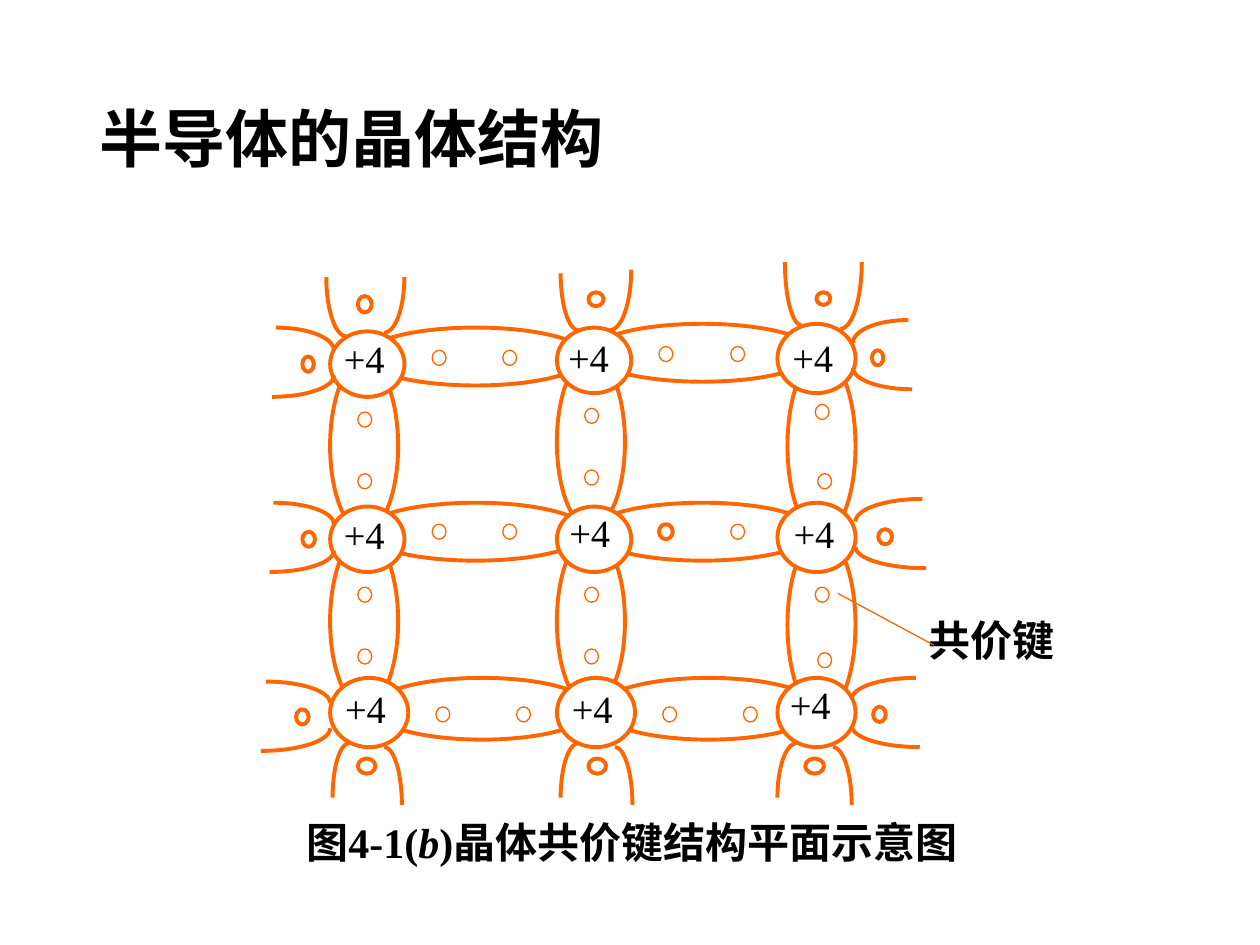
from dataclasses import dataclass
from math import cos, pi, sin

from lxml import etree
from pptx import Presentation
from pptx.dml.color import RGBColor
from pptx.enum.shapes import MSO_CONNECTOR, MSO_SHAPE
from pptx.enum.text import MSO_ANCHOR, MSO_AUTO_SIZE, PP_ALIGN
from pptx.oxml.ns import qn
from pptx.util import Pt

OVAL = MSO_SHAPE.OVAL
LINE = MSO_CONNECTOR.STRAIGHT
LEFT, MID, JUST = PP_ALIGN.LEFT, PP_ALIGN.CENTER, PP_ALIGN.JUSTIFY
PX = 9144  # EMU; 100 px to the inch
STEPS = 16  # pieces in a quarter curve


@dataclass
class Theme:
    ink = RGBColor(0, 0, 0)
    bond = RGBColor(0xFF, 0x66, 0)
    paper = RGBColor(0xFF, 0xFF, 0xFF)
    head = "Calibri"
    body = "Times New Roman"
    title = 36
    note = 24
    ion = 22
    thin = 0.75
    thick = 2.25


class Board:
    def __init__(self, slide, theme):
        self.slide, self.theme = slide, theme
        self.shapes = slide.shapes

    def font(self, run, face, size, bold=False):
        run.font.name, run.font.size, run.font.bold = face, Pt(size), bold
        run.font.color.rgb = self.theme.ink

    def stroke(self, line, width):
        line.color.rgb = self.theme.bond
        line.width = Pt(width)

    def title(self, box, text):
        shape = self.shapes.title
        shape.left, shape.top, shape.width, shape.height = [v * PX for v in box]
        frame = shape.text_frame
        frame.text = text
        frame.auto_size = MSO_AUTO_SIZE.NONE
        frame.vertical_anchor = MSO_ANCHOR.MIDDLE
        para = frame.paragraphs[0]
        para.alignment, para.line_spacing = LEFT, 0.9
        self.font(para.runs[0], self.theme.head, self.theme.title, True)

    def text(self, box, parts, size, align=JUST, bold=False):
        frame = self.shapes.add_textbox(*[v * PX for v in box]).text_frame
        frame.word_wrap = True
        para = frame.paragraphs[0]
        para.alignment = align
        for part in parts:
            run = para.add_run()
            run.text = part
            self.font(run, self.theme.body, size, bold)
        return para

    def oval(self, box, width, solid=True):
        shape = self.shapes.add_shape(OVAL, *[v * PX for v in box])
        shape.shadow.inherit = False
        if solid:
            shape.fill.solid()
            shape.fill.fore_color.rgb = self.theme.paper
        else:
            shape.fill.background()
        self.stroke(shape.line, width)

    def curve(self, x1, y1, x2, y2, flat):
        """Quarter ellipse; flat ones leave the atom upright and end level."""
        points = []
        for step in range(STEPS + 1):
            turn = step / STEPS * pi / 2
            near, far = 1 - cos(turn), sin(turn)
            u, v = (near, far) if flat else (far, near)
            points.append(((x1 + (x2 - x1) * u) * PX, (y1 + (y2 - y1) * v) * PX))
        pen = self.shapes.build_freeform(*points[0])
        pen.add_line_segments(points[1:], close=False)
        shape = pen.convert_to_shape()
        shape.shadow.inherit = False
        shape.fill.background()
        self.stroke(shape.line, self.theme.thick)

    def line(self, *ends):
        wire = self.shapes.add_connector(LINE, *[v * PX for v in ends])
        etree.SubElement(wire.element.spPr, qn("a:effectLst"))
        self.stroke(wire.line, self.theme.thin)


# Bonds: width, height, then corners
BONDS = [
    (177, 46, [(289, 260), (469, 257), (289, 399), (469, 399)]),
    (175, 49, [(295, 538), (475, 538)]),
    (54, 136, [(262, 286), (442, 283), (262, 425), (442, 425)]),
    (54, 142, [(625, 283), (625, 425)]),
]
# Shared electrons, a pair in each bond
PAIRS = [
    (343, 278, 399, 278), (523, 275, 580, 275), (343, 416, 399, 416),
    (346, 561, 410, 561), (526, 561, 590, 561),
    (284, 327, 284, 376), (464, 324, 464, 373), (647, 321, 649, 376),
    (284, 466, 284, 515), (464, 466, 464, 515), (647, 466, 649, 518),
]
BOLD_DOT, MATE = (523, 416), (580, 416)
# Atoms: width, height, then corners
ATOMS = [
    (59, 52, [(262, 263), (442, 260), (262, 402), (442, 402)]),
    (62, 55, [(617, 257), (617, 399), (262, 538), (442, 538), (617, 538)]),
]
IONS = [
    (263, 261), (441, 260), (619, 260),
    (263, 401), (442, 399), (620, 400),
    (264, 539), (444, 539), (617, 536),
]
# Open bonds at the rim: two curves from atom to tip, and an electron
RIM_V = [
    ((305, 264, 321, 220), (275, 267, 259, 220), (284, 235, 11, 13)),
    ((484, 262, 501, 214), (459, 262, 445, 217), (467, 232, 12, 11)),
    ((667, 261, 684, 208), (636, 258, 623, 208), (648, 232, 11, 10)),
    ((277, 590, 264, 633), (305, 593, 319, 639), (284, 602, 14, 12)),
    ((459, 590, 445, 633), (488, 593, 502, 639), (467, 602, 14, 12)),
    ((632, 590, 617, 633), (661, 593, 676, 639), (639, 602, 15, 12)),
]
RIM_H = [
    ((265, 278, 219, 260), (265, 298, 216, 315), (240, 283, 9, 12)),
    ((265, 416, 217, 399), (265, 437, 214, 454), (240, 422, 10, 12)),
    ((262, 558, 211, 541), (262, 578, 207, 596), (235, 563, 10, 12)),
    ((677, 272, 721, 254), (677, 292, 724, 309), (692, 278, 9, 12)),
    ((679, 414, 732, 396), (679, 434, 735, 451), (697, 420, 11, 12)),
    ((676, 555, 727, 538), (676, 576, 730, 593), (693, 561, 10, 12)),
]


def main():
    deck = Presentation()
    deck.slide_width, deck.slide_height = 1000 * PX, 750 * PX
    theme = Theme()
    board = Board(deck.slides.add_slide(deck.slide_layouts[5]), theme)

    # Title and caption
    board.title((69, 40, 862, 145), "半导体的晶体结构")
    parts = ["图4-1(", "b", ")晶体共价键结构平面示意图"]
    para = board.text((196, 643, 611, 57), parts, theme.note, MID, True)
    para.runs[1].font.italic = True

    # Bonds and their electrons
    for w, h, spots in BONDS:
        for x, y in spots:
            board.oval((x, y, w, h), theme.thick, solid=False)
    for x1, y1, x2, y2 in PAIRS:
        for x, y in ((x1, y1), (x2, y2)):
            board.oval((x, y, 11, 12), theme.thin)
    board.oval((*BOLD_DOT, 11, 12), theme.thick)
    board.oval((*MATE, 11, 12), theme.thin)

    # Atoms and their charges
    for w, h, spots in ATOMS:
        for x, y in spots:
            board.oval((x, y, w, h), theme.thick)
    for x, y in IONS:
        board.text((x, y, 81, 64), ["+4"], theme.ion)

    # Open bonds at the rim
    for rim, flat in ((RIM_V, False), (RIM_H, True)):
        for one, two, dot in rim:
            board.curve(*one, flat)
            board.curve(*two, flat)
            board.oval(dot, theme.thick)

    # Callout
    board.text((727, 483, 126, 69), ["共价键"], theme.note, bold=True)
    board.line(665, 471, 741, 512)

    deck.save("out.pptx")


if __name__ == "__main__":
    main()
